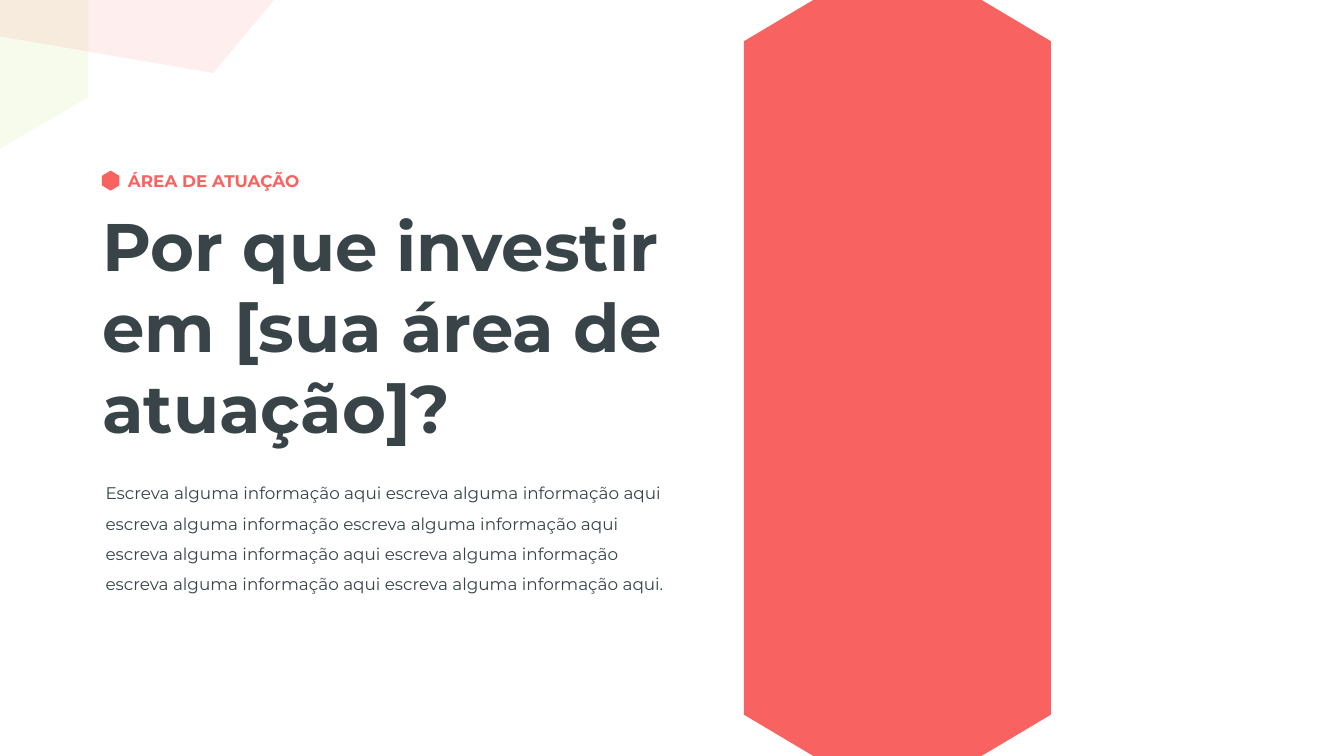
from dataclasses import dataclass
from math import cos, radians, sin

from lxml import etree
from pptx import Presentation
from pptx.dml.color import RGBColor
from pptx.enum.shapes import MSO_SHAPE
from pptx.enum.text import MSO_ANCHOR, MSO_AUTO_SIZE, PP_ALIGN
from pptx.oxml.ns import qn
from pptx.util import Cm, Pt

HEXAGON = MSO_SHAPE.HEXAGON
TOP = MSO_ANCHOR.TOP
GROW = MSO_AUTO_SIZE.SHAPE_TO_FIT_TEXT
LEFT = PP_ALIGN.LEFT
TITLE_AND_BODY = 1


@dataclass(frozen=True)
class Theme:
    font: str = "Montserrat"
    coral: str = "F86261"
    lime: str = "B3DA4D"
    ink: str = "384448"
    title_size: int = 36
    text_size: int = 9


THEME = Theme()
PAGE_WIDTH, PAGE_HEIGHT = 25.4, 14.29


def place(shape, left, top, width, height):
    shape.left, shape.top = Cm(left), Cm(top)
    shape.width, shape.height = Cm(width), Cm(height)


def paint(shape, color, opacity=100):
    shape.shadow.inherit = False
    shape.line.fill.background()
    shape.fill.solid()
    shape.fill.fore_color.rgb = RGBColor.from_string(color)
    if opacity < 100:
        tint = shape.element.spPr.find(qn("a:solidFill")).find(qn("a:srgbClr"))
        etree.SubElement(tint, qn("a:alpha"), val=str(opacity * 1000))


def turn(point, degrees):
    x, y = point
    angle = radians(degrees)
    return x * cos(angle) - y * sin(angle), x * sin(angle) + y * cos(angle)


def add_polygon(page, points, color, rotation, opacity=100):
    corners = [turn((Cm(x), Cm(y)), -rotation) for x, y in points]
    builder = page.shapes.build_freeform(*corners[0])
    builder.add_line_segments(corners[1:], close=True)
    shape = builder.convert_to_shape()
    half_width, half_height = shape.width / 2, shape.height / 2
    center = turn((shape.left + half_width, shape.top + half_height), rotation)
    shape.left = round(center[0] - half_width)
    shape.top = round(center[1] - half_height)
    shape.rotation = rotation
    paint(shape, color, opacity)


def write(box, text, size, color, bold=False, wrap=True, spacing=1.0):
    frame = box.text_frame
    frame.word_wrap = wrap
    frame.auto_size = GROW
    frame.vertical_anchor = TOP
    para = frame.paragraphs[0]
    para.alignment = LEFT
    para.line_spacing = spacing
    para.space_before = Pt(0)
    span = para.add_run()
    span.text = text
    span.font.name = THEME.font
    span.font.size = Pt(size)
    span.font.bold = bold
    span.font.color.rgb = RGBColor.from_string(color)
    return para


def remove_bullet(para):
    properties = para._p.get_or_add_pPr()
    properties.set("marL", "0")
    properties.set("indent", "0")
    etree.SubElement(properties, qn("a:buNone"))


def add_pillar(page, center, half_width, half_flat, slope):
    sides = (center - half_width, center + half_width)
    flats = (center - half_flat, center + half_flat)
    add_polygon(page, [
        (flats[0], 0), (flats[1], 0),
        (sides[1], slope), (sides[1], PAGE_HEIGHT - slope),
        (flats[1], PAGE_HEIGHT), (flats[0], PAGE_HEIGHT),
        (sides[0], PAGE_HEIGHT - slope), (sides[0], slope),
    ], THEME.coral, rotation=90)


def add_section_label(page, text):
    group = page.shapes.add_group_shape()
    box = group.shapes.add_textbox(Cm(2.17), Cm(3.1), Cm(3.81), Cm(0.64))
    write(box, text, THEME.text_size, THEME.coral, bold=True, wrap=False)
    marker = group.shapes.add_shape(HEXAGON, Cm(1.9), Cm(3.25), Cm(0.38), Cm(0.33))
    marker.adjustments[0] = 0.3
    marker.rotation = 90
    paint(marker, THEME.coral)


def main():
    deck = Presentation()
    deck.slide_width, deck.slide_height = Cm(PAGE_WIDTH), Cm(PAGE_HEIGHT)
    page = deck.slides.add_slide(deck.slide_layouts[TITLE_AND_BODY])

    add_pillar(page, center=16.96, half_width=2.9, half_flat=1.59, slope=0.78)

    title = page.shapes.title
    place(title, 1.68, 3.74, 12.73, 4.88)
    write(title, "Por que investir em [sua área de atuação]?",
          THEME.title_size, THEME.ink, bold=True)

    body = page.placeholders[1]
    place(body, 1.74, 8.81, 11.23, 2.49)
    para = write(
        body,
        "Escreva alguma informação aqui escreva alguma informação aqui "
        "escreva alguma informação escreva alguma informação aqui "
        "escreva alguma informação aqui escreva alguma informação "
        "escreva alguma informação aqui escreva alguma informação aqui.",
        THEME.text_size, THEME.ink, spacing=1.5)
    remove_bullet(para)

    add_section_label(page, "ÁREA DE ATUAÇÃO")
    add_polygon(page, [(0, 0), (1.67, 0), (1.67, 1.84), (0, 2.81)],
                THEME.lime, rotation=59.9, opacity=10)
    add_polygon(page, [(0, 0), (5.18, 0), (4.03, 1.38), (1.93, 1.02), (0, 0.69)],
                THEME.coral, rotation=39.8, opacity=10)

    deck.save("out.pptx")


if __name__ == "__main__":
    main()
